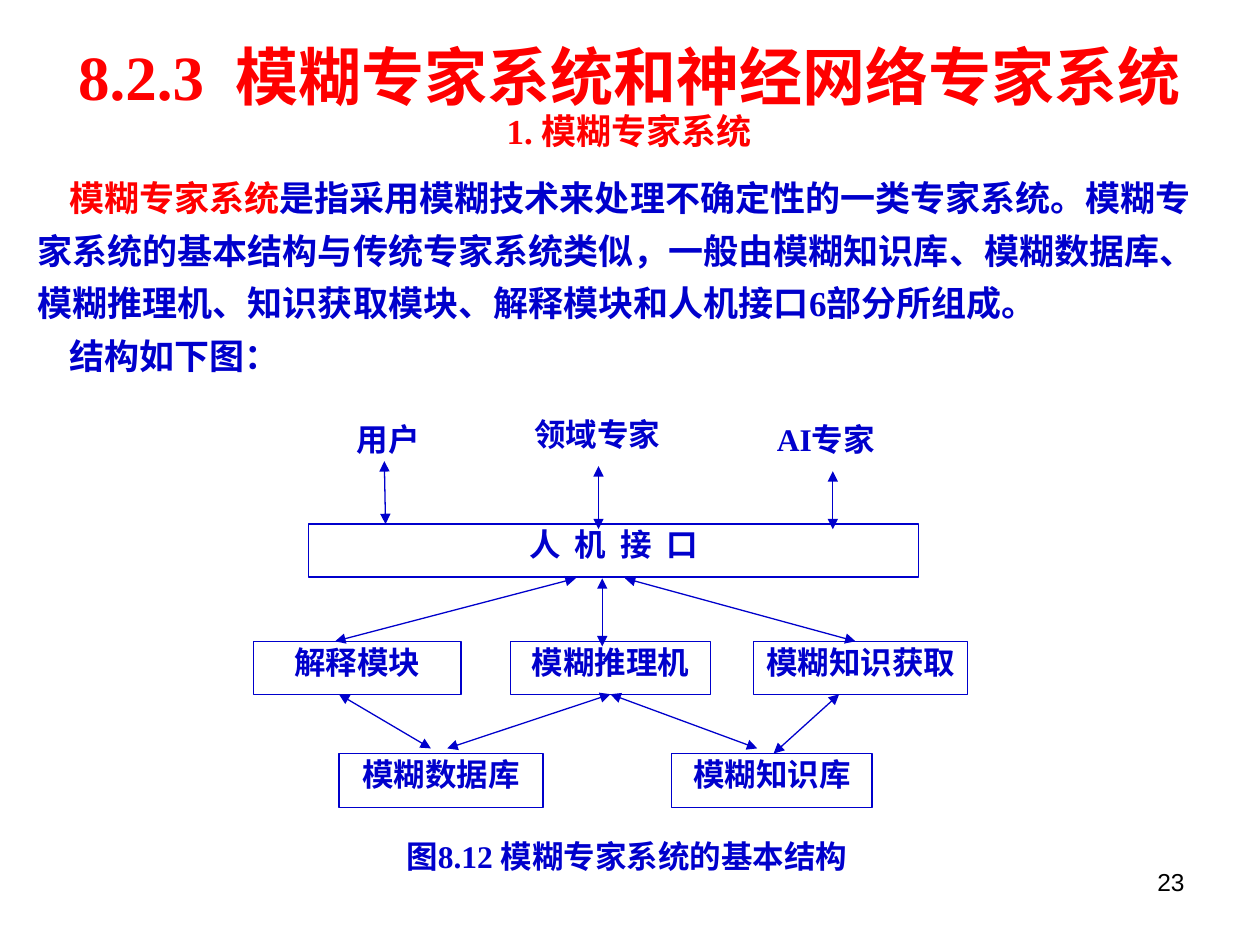
from pptx import Presentation
from pptx.util import Inches, Pt
from pptx.dml.color import RGBColor
from pptx.enum.shapes import MSO_SHAPE as Shape, MSO_CONNECTOR as Link
from pptx.enum.text import PP_ALIGN as Align, MSO_ANCHOR as Anchor
from pptx.oxml.ns import qn
from lxml.etree import SubElement

RED = RGBColor(0xFF, 0, 0)
BLUE = RGBColor(0, 0, 0xCC)
WHITE = RGBColor(0xFF, 0xFF, 0xFF)
BLACK = RGBColor(0, 0, 0)
SERIF = "Times New Roman"

deck = Presentation()
deck.slide_width, deck.slide_height = Inches(10), Inches(7.5)
slide = deck.slides.add_slide(deck.slide_layouts[6])


def style(para, size, color, align, name=SERIF, bold=True):
    para.alignment = align
    font = para.font
    font.name, font.size, font.bold = name, Pt(size), bold
    font.color.rgb = color


def add_box(text, left, top, width, height=0.42, border=True):
    """Add a white box with centred text, outlined if border is set."""
    box = slide.shapes.add_shape(
        Shape.RECTANGLE, Inches(left), Inches(top), Inches(width), Inches(height))
    box.shadow.inherit = False
    box.fill.solid()
    box.fill.fore_color.rgb = WHITE
    if border:
        box.line.color.rgb = BLUE
        box.line.width = Pt(0.75)
    else:
        box.line.fill.background()
    frame = box.text_frame
    frame.vertical_anchor = Anchor.TOP
    frame.margin_left = frame.margin_right = Inches(0.02)
    frame.margin_top = frame.margin_bottom = Inches(0.01)
    frame.text = text
    style(frame.paragraphs[0], 18, BLUE, Align.CENTER)
    return box


# Title and subtitle
head = slide.shapes.add_textbox(
    Inches(0.27), Inches(0.32), Inches(9.45), Inches(0.94)).text_frame
head.word_wrap = True
head.text = "8.2.3  模糊专家系统和神经网络专家系统\n1. 模糊专家系统"
for para, size in zip(head.paragraphs, (36, 20)):
    style(para, size, RED, Align.CENTER)
    para.line_spacing = 0.9

# Body text
body = slide.shapes.add_textbox(
    Inches(0.2), Inches(1.27), Inches(9.57), Inches(1.77)).text_frame
body.word_wrap = True
intro, lead = body.paragraphs[0], body.add_paragraph()
term = intro.add_run()
term.text = "模糊专家系统"
term.font.color.rgb = RED
intro.add_run().text = (
    "是指采用模糊技术来处理不确定性的一类专家系统。"
    "模糊专家系统的基本结构与传统专家系统类似，"
    "一般由模糊知识库、模糊数据库、模糊推理机、"
    "知识获取模块、解释模块和人机接口6部分所组成。")
lead.text = "结构如下图："
for para in (intro, lead):
    style(para, 20, BLUE, Align.LEFT)
    para.line_spacing = 1.25
    props = para._p.get_or_add_pPr()
    props.set("marL", "0")
    props.set("indent", str(Inches(0.25)))

# Labels of the people, and the caption
for text, left, top, width in (
        ("用户", 2.74, 3.32, 0.68),
        ("领域专家", 4.15, 3.28, 1.18),
        ("AI专家", 6.06, 3.32, 0.99),
        ("图8.12 模糊专家系统的基本结构", 3, 6.63, 3.95)):
    add_box(text, left, top, width, border=False)

# Parts of the system
add_box("人  机  接  口", 2.45, 4.16, 4.84)
add_box("解释模块", 2.01, 5.09, 1.65)
engine = add_box("模糊推理机", 4.05, 5.09, 1.59)
add_box("模糊知识获取", 5.98, 5.09, 1.7)
add_box("模糊数据库", 2.69, 5.98, 1.62, 0.43)
add_box("模糊知识库", 5.33, 5.98, 1.59, 0.43)

# Two-way arrows; the last item is the box joined at its bottom
for x1, y1, x2, y2, start in (
        (3.05, 3.66, 3.06, 4.16, None),
        (4.75, 3.7, 4.75, 4.2, None),
        (6.61, 3.74, 6.61, 4.2, None),
        (4.57, 4.59, 2.66, 5.09, None),
        (4.78, 4.59, 4.78, 5.13, None),
        (4.96, 4.59, 6.79, 5.09, None),
        (2.69, 5.51, 3.42, 5.94, None),
        (4.83, 5.51, 3.55, 5.94, engine),
        (4.85, 5.51, 6.01, 5.94, engine),
        (6.66, 5.51, 6.14, 5.98, None)):
    arrow = slide.shapes.add_connector(
        Link.STRAIGHT, Inches(x1), Inches(y1), Inches(x2), Inches(y2))
    if start:
        arrow.begin_connect(start, 2)
    arrow.line.color.rgb = BLUE
    arrow.line.width = Pt(0.75)
    for end in ("a:headEnd", "a:tailEnd"):
        SubElement(arrow.line._get_or_add_ln(), qn(end), type="triangle")
    SubElement(arrow._element.spPr, qn("a:effectLst"))

# Page number
page = slide.shapes.add_textbox(
    Inches(7.17), Inches(6.83), Inches(2.33), Inches(0.52)).text_frame
page.word_wrap = True
page.text = "23"
style(page.paragraphs[0], 14, BLACK, Align.RIGHT, "Arial", False)

deck.save("out.pptx")
